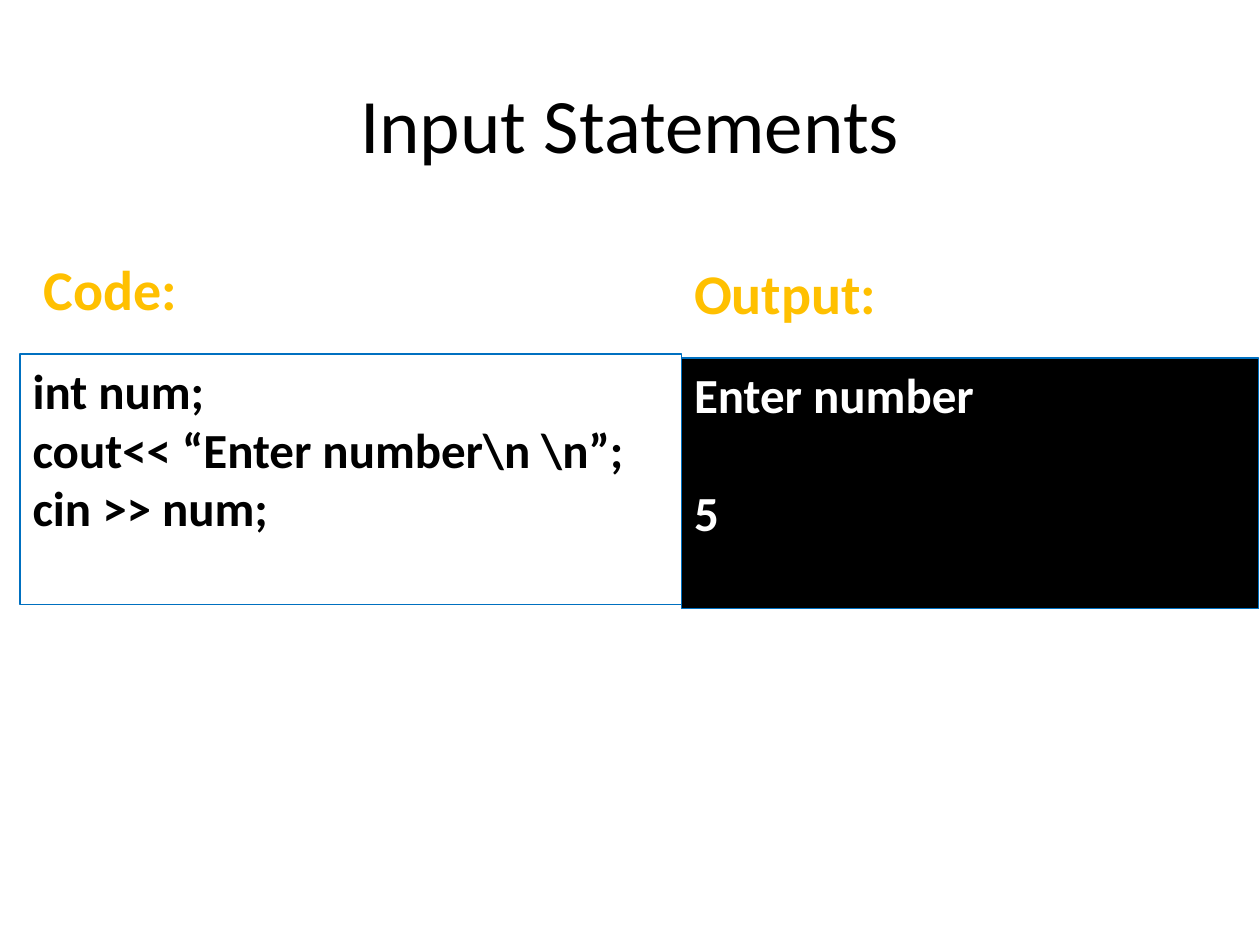
from pptx import Presentation
from pptx.dml.color import RGBColor
from pptx.enum.shapes import MSO_SHAPE as Shape
from pptx.enum.text import MSO_ANCHOR as Anchor, PP_ALIGN as Align
from pptx.util import Inches, Pt

BLACK = RGBColor(0x00, 0x00, 0x00)
WHITE = RGBColor(0xFF, 0xFF, 0xFF)
GOLD = RGBColor(0xFF, 0xC0, 0x00)
BLUE = RGBColor(0x00, 0x70, 0xC0)

PANEL_HEIGHT = 1.99
OUTPUT_LEFT = 5.41


def write(frame, lines, size, color, bold=True, align=Align.LEFT, gap=0):
    frame.word_wrap = True
    frame.vertical_anchor = Anchor.TOP
    for index, line in enumerate(lines):
        paragraph = frame.add_paragraph() if index else frame.paragraphs[0]
        paragraph.alignment = align
        if index and gap:
            paragraph.space_before = Pt(gap)
        run = paragraph.add_run()
        run.text = line
        run.font.name = "Calibri"
        run.font.size = Pt(size)
        run.font.bold = bold
        run.font.color.rgb = color


def add_label(slide, text, left, top, width=3.42, height=0.64, size=32,
              color=GOLD, **text_format):
    label = slide.shapes.add_textbox(
        Inches(left), Inches(top), Inches(width), Inches(height))
    write(label.text_frame, [text], size, color, **text_format)


def add_panel(slide, lines, left, top, width, color, fill=None, gap=0):
    panel = slide.shapes.add_shape(
        Shape.RECTANGLE, Inches(left), Inches(top),
        Inches(width), Inches(PANEL_HEIGHT))
    panel.shadow.inherit = False
    if fill is None:
        panel.fill.background()
    else:
        panel.fill.solid()
        panel.fill.fore_color.rgb = fill
    panel.line.color.rgb = BLUE
    panel.line.width = Pt(0.75)
    write(panel.text_frame, lines, 28, color, gap=gap)


def main():
    deck = Presentation()
    deck.slide_width, deck.slide_height = Inches(10), Inches(7.5)
    slide = deck.slides.add_slide(deck.slide_layouts[6])

    code = ["int num;", "cout<< “Enter number\\n \\n”;", "cin >> num;"]
    add_panel(slide, code, 0.16, 2.81, 5.25, BLACK)
    add_panel(slide, ["Enter number", "5"], OUTPUT_LEFT, 2.84, 4.58, WHITE,
              fill=BLACK, gap=34)
    add_label(slide, "Output:", OUTPUT_LEFT, 2)
    add_label(slide, "Code:", 0.25, 1.97)
    add_label(slide, "Input Statements", 0.5, 0.56, width=9, height=1.25,
              size=44, color=BLACK, bold=False, align=Align.CENTER)
    deck.save("out.pptx")


if __name__ == "__main__":
    main()
